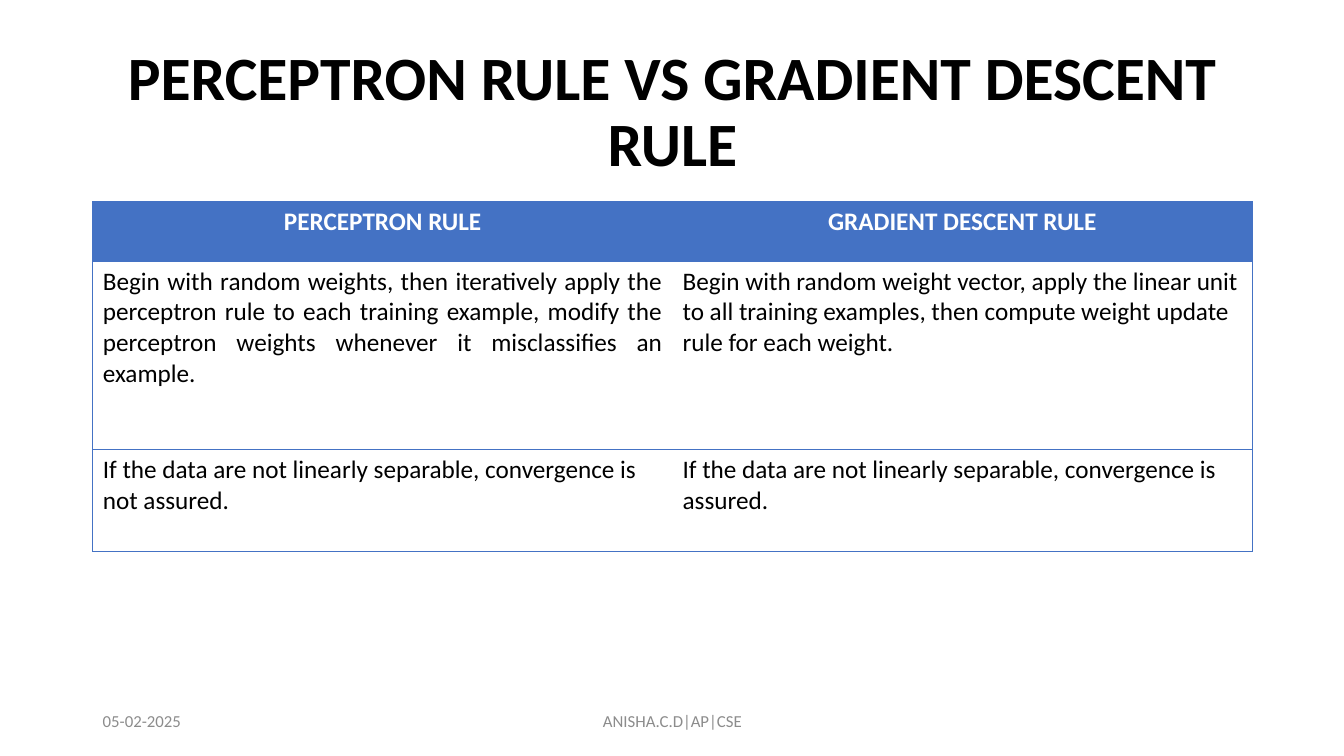
from dataclasses import dataclass

from lxml import etree
from pptx import Presentation
from pptx import util as u
from pptx.dml.color import RGBColor
from pptx.enum import text
from pptx.oxml.ns import qn


@dataclass(frozen=True)
class Theme:
    """Font, colours and type sizes of the slide."""
    font: str = "Calibri"
    ink: str = "000000"
    paper: str = "FFFFFF"
    accent: str = "4472C4"
    muted: str = "8C8C8C"
    title_size: int = 44
    table_size: int = 18
    footer_size: int = 12
    rule_width: float = 0.5


THEME = Theme()
ALIGN = text.PP_ALIGN
HEADINGS = ("PERCEPTRON RULE", "GRADIENT DESCENT RULE")
COMPARISONS = (
    ("Begin with random weights, then iteratively apply the perceptron rule to each "
     "training example, modify the perceptron weights whenever it misclassifies an example.",
     "Begin with random weight vector, apply the linear unit to all training examples, "
     "then compute weight update rule for each weight."),
    ("If the data are not linearly separable, convergence is not assured.",
     "If the data are not linearly separable, convergence is assured."),
)
ROW_HEIGHTS = (0.59, 1.87, 1.01)


def write(frame, wording, size, color, align, bold=False):
    """Put one formatted paragraph into a text frame."""
    frame.text = wording
    paragraph = frame.paragraphs[0]
    paragraph.alignment = align
    font = paragraph.font
    font.name, font.size, font.bold = THEME.font, u.Pt(size), bold
    font.color.rgb = RGBColor.from_string(color)
    return paragraph


def rule_cell(cell, visible_sides):
    """Draw the named sides of a cell and clear the others."""
    properties = cell._tc.get_or_add_tcPr()
    for position, side in enumerate("LRTB"):
        line = etree.Element(qn(f"a:ln{side}"), w=str(u.Pt(THEME.rule_width)))
        if side in visible_sides:
            fill = etree.SubElement(line, qn("a:solidFill"))
            etree.SubElement(fill, qn("a:srgbClr"), val=THEME.accent)
        else:
            etree.SubElement(line, qn("a:noFill"))
        properties.insert(position, line)


def add_title(slide, left, top, width, height):
    """Place the heading in the title placeholder."""
    title = slide.shapes.title
    title.left, title.top, title.width, title.height = map(u.Inches, (left, top, width, height))
    frame = title.text_frame
    frame.auto_size = text.MSO_AUTO_SIZE.NONE
    frame.vertical_anchor = text.MSO_ANCHOR.MIDDLE
    heading = write(frame, "PERCEPTRON RULE VS GRADIENT DESCENT RULE",
                    THEME.title_size, THEME.ink, ALIGN.CENTER, bold=True)
    heading.line_spacing = 0.9


def add_comparison(slide, left, top, width, height):
    """Place the two-column table of the rules."""
    rows = (HEADINGS, *COMPARISONS)
    table = slide.shapes.add_table(len(rows), len(HEADINGS),
                                   *map(u.Inches, (left, top, width, height))).table
    table.horz_banding = False
    for row, row_height in zip(table.rows, ROW_HEIGHTS):
        row.height = u.Inches(row_height)
    for row_index, wordings in enumerate(rows):
        for column_index, wording in enumerate(wordings):
            cell = table.cell(row_index, column_index)
            is_heading = row_index == 0
            if is_heading:
                cell.fill.solid()
                cell.fill.fore_color.rgb = RGBColor.from_string(THEME.accent)
                align = ALIGN.CENTER
            else:
                cell.fill.background()
                align = ALIGN.JUSTIFY if (row_index, column_index) == (1, 0) else ALIGN.LEFT
            write(cell.text_frame, wording, THEME.table_size,
                  THEME.paper if is_heading else THEME.ink, align, bold=is_heading)
            rule_cell(cell, "TB" + "LR"[column_index])


def add_footer(slide, left, top, width, height):
    """Place the date at the left and the author in the middle."""
    date_width, author_width = 3, 4.5
    author_left = left + (width - author_width) / 2
    for wording, part_left, part_width, align in (
            ("05-02-2025", left, date_width, ALIGN.LEFT),
            ("ANISHA.C.D|AP|CSE", author_left, author_width, ALIGN.CENTER)):
        frame = slide.shapes.add_textbox(
            *map(u.Inches, (part_left, top, part_width, height))).text_frame
        frame.word_wrap = True
        frame.vertical_anchor = text.MSO_ANCHOR.MIDDLE
        write(frame, wording, THEME.footer_size, THEME.muted, align)


def main():
    """Build and save the slide."""
    deck = Presentation()
    deck.slide_width, deck.slide_height = u.Inches(13.33), u.Inches(7.5)
    slide = deck.slides.add_slide(deck.slide_layouts.get_by_name("Title Only"))
    left, width = 0.92, 11.5
    add_title(slide, left, 0.4, width, 1.45)
    add_comparison(slide, left, 2, width, sum(ROW_HEIGHTS))
    add_footer(slide, left, 6.95, width, 0.4)
    deck.save("out.pptx")


if __name__ == "__main__":
    main()
